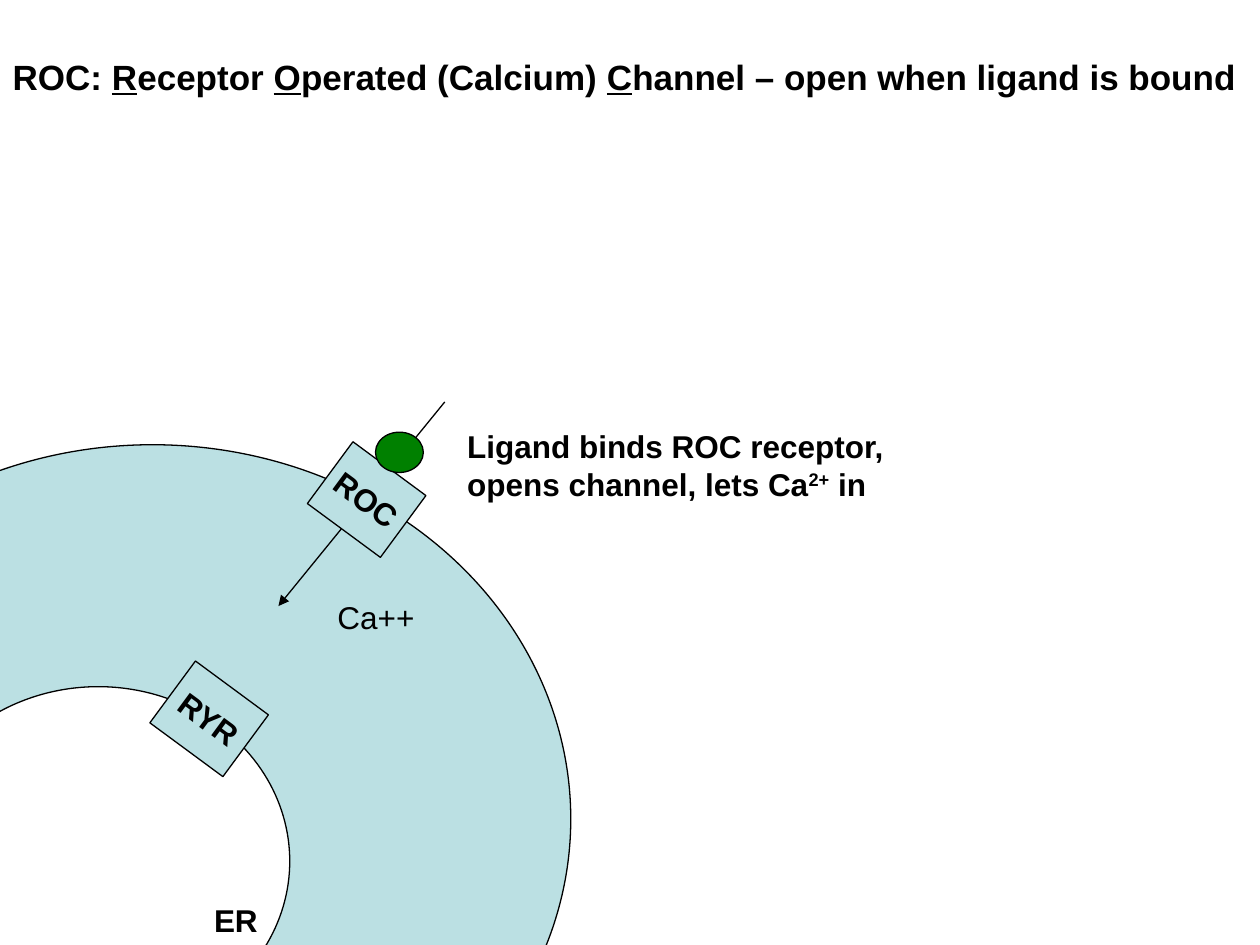
from dataclasses import dataclass

import lxml.etree
import pptx
import pptx.dml.color
import pptx.enum.shapes
import pptx.enum.text
import pptx.oxml.ns
import pptx.util
from pptx.util import Inches

SHAPE = pptx.enum.shapes.MSO_SHAPE
ALIGN = pptx.enum.text.PP_ALIGN
ANCHOR = pptx.enum.text.MSO_ANCHOR


@dataclass(frozen=True)
class Theme:
    font: str = "Arial"
    title_size: int = 20
    body_size: int = 18
    line_width: float = 0.75
    ink: str = "000000"
    cytoplasm: str = "BBE0E3"
    white: str = "FFFFFF"
    ligand: str = "008000"


THEME = Theme()


@dataclass(frozen=True)
class Box:
    left: float
    top: float
    width: float
    height: float

    def lengths(self) -> tuple:
        return tuple(Inches(v) for v in (self.left, self.top, self.width, self.height))


@dataclass(frozen=True)
class Span:
    text: str
    underline: bool = False
    superscript: bool = False


@dataclass(frozen=True)
class Body:
    """A filled, outlined shape with an optional label."""
    kind: int
    box: Box
    fill: str
    rotation: float = 0
    label: str = ""


@dataclass(frozen=True)
class Note:
    box: Box
    spans: tuple
    bold: bool = True


# Cell and endoplasmic reticulum, back to front
COMPARTMENTS = (
    Body(SHAPE.OVAL, Box(-2.11, 3.53, 6.64, 5.94), THEME.cytoplasm),
    Body(SHAPE.OVAL, Box(-0.74, 5.45, 3.04, 2.77), THEME.white),
)


def channel(label: str, left: float, top: float) -> Body:
    return Body(SHAPE.RECTANGLE, Box(left, top, 0.72, 0.61), THEME.cytoplasm, 36.4, label)


RYR = channel("RYR", 1.3, 5.4)
ROC = channel("ROC", 2.55, 3.66)
LIGAND = Body(SHAPE.OVAL, Box(2.98, 3.43, 0.38, 0.32), THEME.ligand)

TITLE_BOX = Box(0, 0.39, 10, 0.44)
TITLE = (
    Span("ROC: "),
    Span("R", underline=True), Span("eceptor "),
    Span("O", underline=True), Span("perated (Calcium) "),
    Span("C", underline=True), Span("hannel – open when ligand is bound"),
)
NOTES = (
    Note(Box(1.6, 7.1, 1.72, 0.4), (Span("ER"),)),
    Note(Box(3.61, 3.34, 3.72, 0.71), (
        Span("Ligand binds ROC receptor, opens channel, lets Ca"),
        Span("2+", superscript=True), Span(" in"))),
    Note(Box(2.58, 4.7, 1.13, 0.4), (Span("Ca++"),), bold=False),
)


def color(value: str) -> pptx.dml.color.RGBColor:
    return pptx.dml.color.RGBColor.from_string(value)


def write_text(shape, spans: tuple, *, size: int = THEME.body_size, bold: bool = True,
               align=ALIGN.LEFT, anchor=ANCHOR.TOP, wrap: bool = True) -> None:
    frame = shape.text_frame
    frame.auto_size = pptx.enum.text.MSO_AUTO_SIZE.NONE
    frame.word_wrap = wrap
    frame.vertical_anchor = anchor
    paragraph = frame.paragraphs[0]
    paragraph.alignment = align
    for span in spans:
        run = paragraph.add_run()
        run.text = span.text
        run.font.name = THEME.font
        run.font.size = pptx.util.Pt(size)
        run.font.bold = bold
        run.font.color.rgb = color(THEME.ink)
        if span.underline:
            run.font.underline = True
        if span.superscript:
            run._r.get_or_add_rPr().set("baseline", "30000")


def format_line(line) -> None:
    line.color.rgb = color(THEME.ink)
    line.width = pptx.util.Pt(THEME.line_width)


def draw_body(slide, body: Body) -> None:
    shape = slide.shapes.add_shape(body.kind, *body.box.lengths())
    shape.rotation = body.rotation
    shape.shadow.inherit = False
    shape.fill.solid()
    shape.fill.fore_color.rgb = color(body.fill)
    format_line(shape.line)
    if body.label:
        write_text(shape, (Span(body.label),), align=ALIGN.CENTER,
                   anchor=ANCHOR.MIDDLE, wrap=False)


def draw_note(slide, note: Note) -> None:
    write_text(slide.shapes.add_textbox(*note.box.lengths()), note.spans, bold=note.bold)


def draw_arrow(slide, start: tuple, end: tuple) -> None:
    connector = slide.shapes.add_connector(
        pptx.enum.shapes.MSO_CONNECTOR.STRAIGHT, *(Inches(v) for v in start + end))
    format_line(connector.line)
    qn = pptx.oxml.ns.qn
    tail = lxml.etree.SubElement(connector.line._get_or_add_ln(), qn("a:tailEnd"))
    tail.set("type", "triangle")
    lxml.etree.SubElement(connector._element.spPr, qn("a:effectLst"))


def main() -> None:
    presentation = pptx.Presentation()
    presentation.slide_width = Inches(10)
    presentation.slide_height = Inches(7.5)
    slide = presentation.slides.add_slide(presentation.slide_layouts[5])

    # Title
    title = slide.shapes.title
    title.left, title.top, title.width, title.height = TITLE_BOX.lengths()
    write_text(title, TITLE, size=THEME.title_size)

    # Cell with its inner store
    for body in COMPARTMENTS + (RYR,):
        draw_body(slide, body)

    # Calcium path, passing behind the ligand and its channel
    draw_arrow(slide, (3.53, 3.19), (2.21, 4.81))
    for body in (ROC, LIGAND):
        draw_body(slide, body)

    # Captions
    for note in NOTES:
        draw_note(slide, note)

    presentation.save("out.pptx")


if __name__ == "__main__":
    main()
